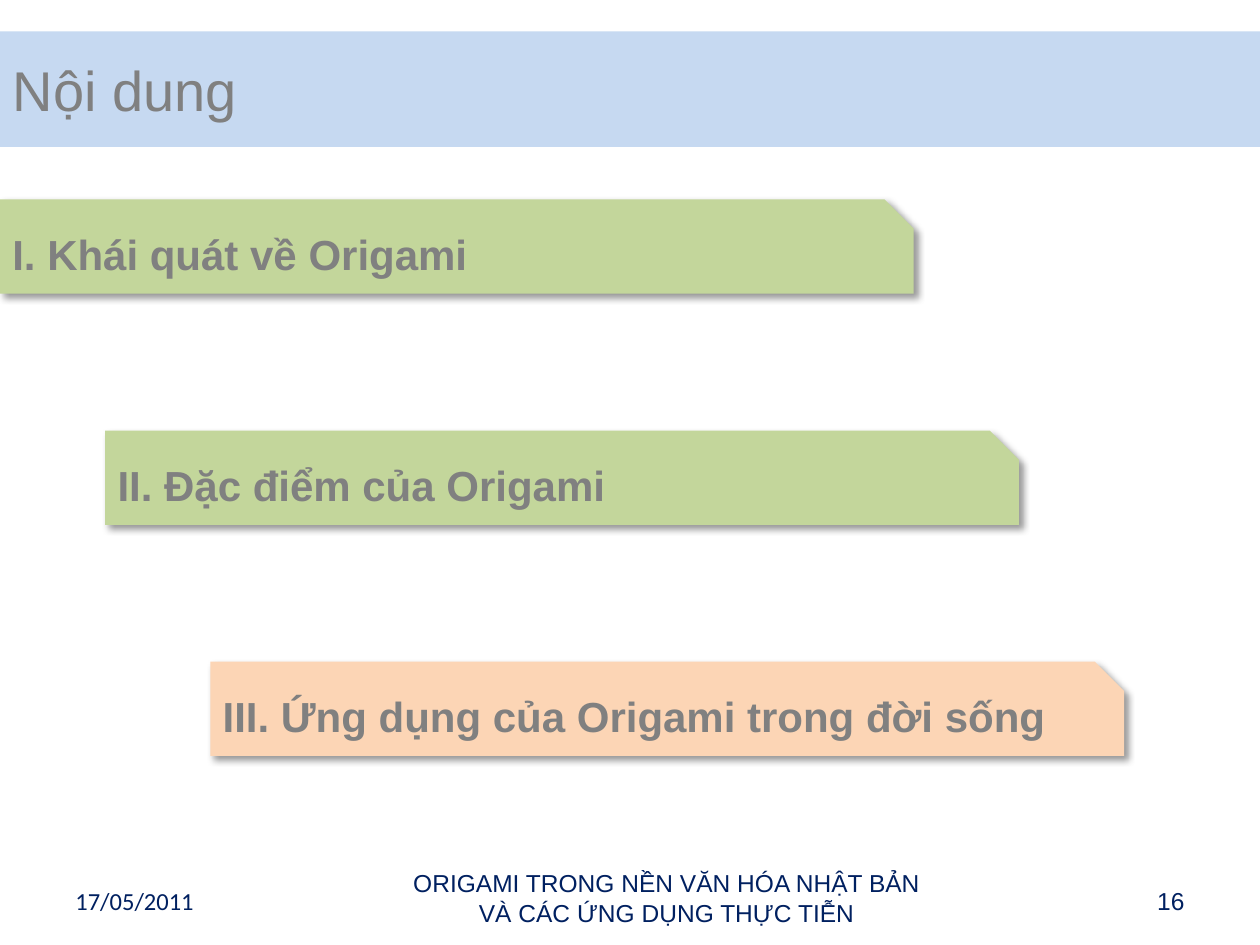
from dataclasses import dataclass

from lxml.etree import SubElement
from pptx import Presentation
from pptx.dml.color import RGBColor
from pptx.enum.shapes import MSO_SHAPE as Preset
from pptx.enum.text import MSO_ANCHOR as Anchor, MSO_AUTO_SIZE as AutoSize, PP_ALIGN as Align
from pptx.oxml.ns import qn
from pptx.util import Cm, Pt

COLORS = {
    "title_band": "C6D9F1",
    "green": "C3D69B",
    "orange": "FCD5B5",
    "gray": "808080",
    "navy": "002060",
    "shadow": "000000",
}


@dataclass
class Section:
    text: str
    color: str


@dataclass
class FooterItem:
    text: str
    left: float
    top: float
    width: float
    height: float
    align: Align
    font: str = "Arial"


SECTIONS = [
    Section("I. Khái quát về Origami", "green"),
    Section("II. Đặc điểm của Origami", "green"),
    Section("III. Ứng dụng của Origami trong đời sống", "orange"),
]
FOOTER = [
    FooterItem("17/05/2011", 1.27, 17.65, 5.93, 1.01, Align.LEFT, "Calibri"),
    FooterItem("ORIGAMI TRONG NỀN VĂN HÓA NHẬT BẢN VÀ CÁC ỨNG DỤNG THỰC TIỄN",
               7.83, 17.15, 11.22, 1.9, Align.CENTER),
    FooterItem("16", 18.2, 17.65, 5.93, 1.01, Align.RIGHT),
]

# Each section bar steps right and down from the one before
BAR_TOP, BAR_WIDTH, BAR_HEIGHT = 4.02, 18.42, 1.9
STEP_X, STEP_Y = 2.12, 4.66


def fill_solid(shape, color: str) -> None:
    shape.fill.solid()
    shape.fill.fore_color.rgb = RGBColor.from_string(COLORS[color])


def write_text(shape, text: str, *, size: float, color: str, font: str = "Arial",
               bold: bool = False, align: Align = Align.LEFT) -> None:
    frame = shape.text_frame
    frame.word_wrap = True
    frame.auto_size = AutoSize.NONE
    frame.vertical_anchor = Anchor.MIDDLE
    paragraph = frame.paragraphs[0]
    paragraph.alignment = align
    run = paragraph.add_run()
    run.text = text
    run.font.name = font
    run.font.size = Pt(size)
    run.font.bold = bold
    run.font.color.rgb = RGBColor.from_string(COLORS[color])


def add_shadow(shape) -> None:
    shape.shadow.inherit = False
    effects = shape._element.spPr.find(qn("a:effectLst"))
    shadow = SubElement(effects, qn("a:outerShdw"), blurRad=str(Pt(4)), dist=str(Pt(3)),
                        dir=str(45 * 60000), algn="tl", rotWithShape="0")
    color = SubElement(shadow, qn("a:srgbClr"), val=COLORS["shadow"])
    SubElement(color, qn("a:alpha"), val="40000")


def add_section(slide, index: int, section: Section) -> None:
    bar = slide.shapes.add_shape(
        Preset.SNIP_1_RECTANGLE, Cm(index * STEP_X), Cm(BAR_TOP + index * STEP_Y),
        Cm(BAR_WIDTH), Cm(BAR_HEIGHT))
    bar.adjustments[0] = 0.31
    fill_solid(bar, section.color)
    bar.line.fill.background()
    add_shadow(bar)
    write_text(bar, section.text, size=24, color="gray", bold=True)


def add_footer_item(slide, item: FooterItem) -> None:
    box = slide.shapes.add_textbox(Cm(item.left), Cm(item.top), Cm(item.width), Cm(item.height))
    write_text(box, item.text, size=14, color="navy", font=item.font, align=item.align)


def main() -> None:
    presentation = Presentation()
    presentation.slide_width, presentation.slide_height = Cm(25.4), Cm(19.05)
    slide = presentation.slides.add_slide(presentation.slide_layouts[5])

    # Title band across the full width
    title = slide.shapes.title
    title.left, title.top, title.width, title.height = Cm(0), Cm(0.63), Cm(25.4), Cm(2.33)
    fill_solid(title, "title_band")
    write_text(title, "Nội dung", size=32, color="gray")

    # Staircase of section bars
    for index, section in enumerate(SECTIONS):
        add_section(slide, index, section)

    # Date, presentation name and page number
    for item in FOOTER:
        add_footer_item(slide, item)

    presentation.save("out.pptx")


if __name__ == "__main__":
    main()
